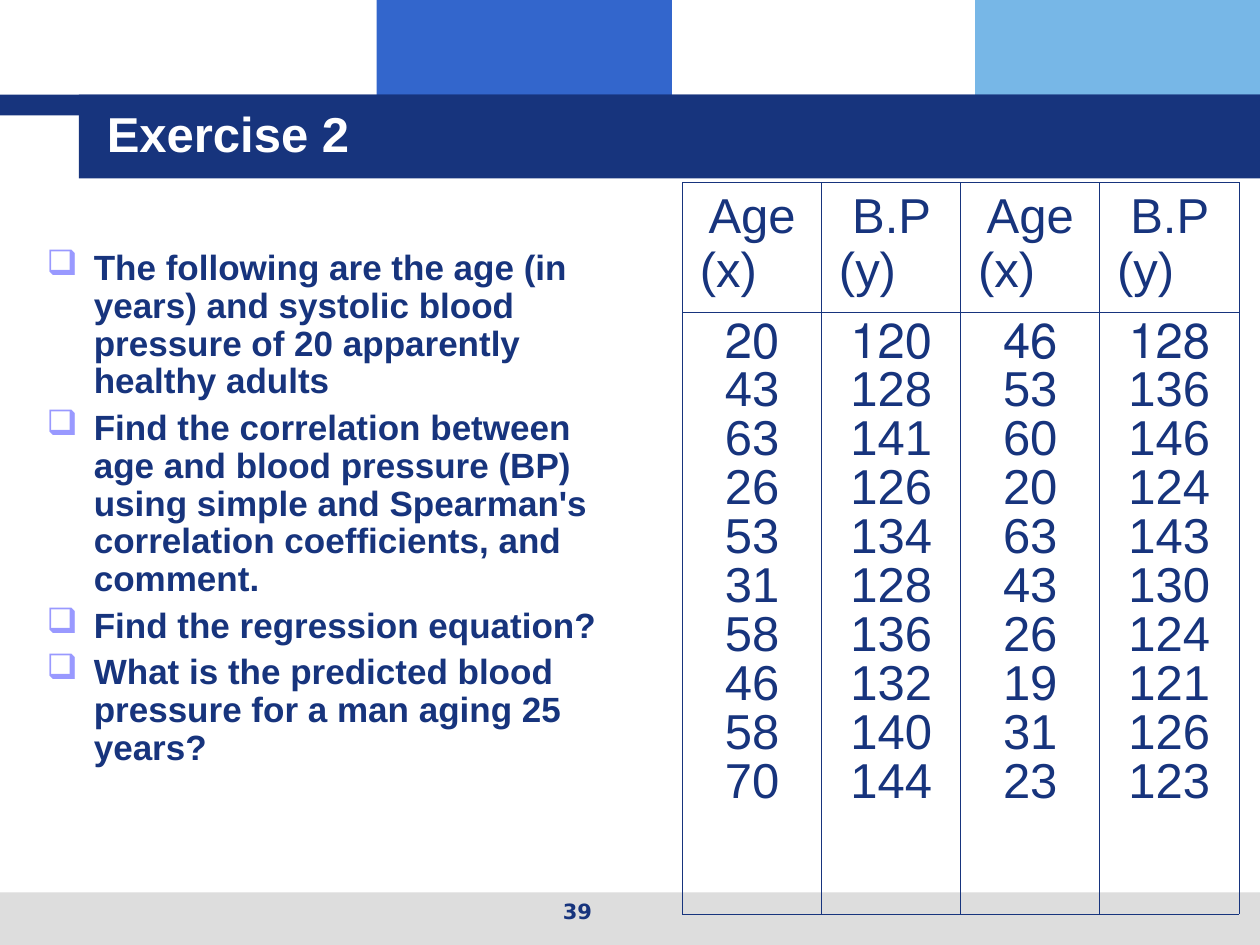
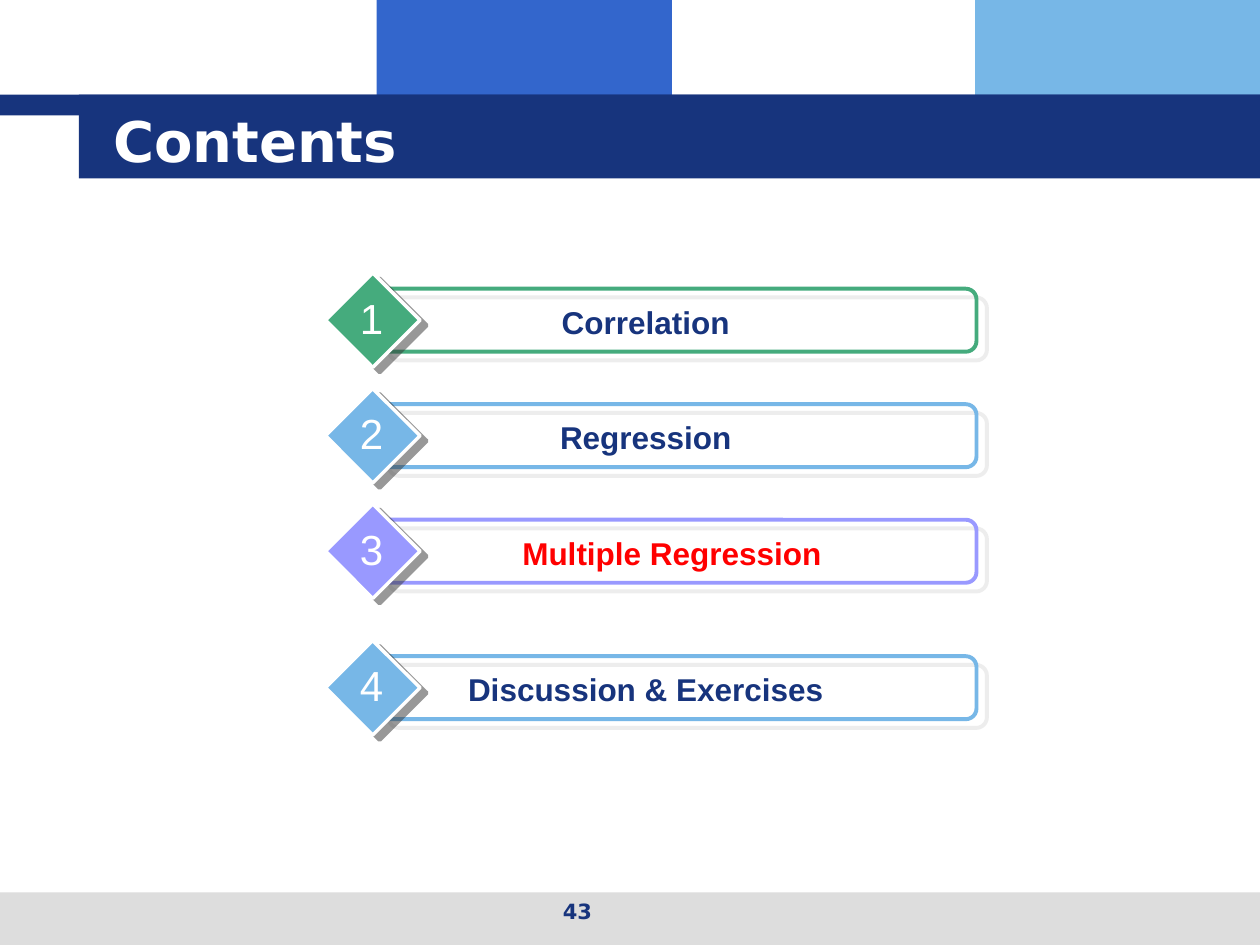
from lxml import etree
from pptx import Presentation
from pptx import util as u
from pptx.dml.color import RGBColor
from pptx.enum import shapes, text
from pptx.oxml import ns

COLORS = {
    "navy": "17347D", "blue": "3366CC", "sky": "77B7E7", "grey": "DDDDDD",
    "white": "FFFFFF", "violet": "9999FF", "green": "45AB7D", "red": "FF0000",
    "dark": "333333",
}
SLIDE_WIDTH, SLIDE_HEIGHT = 720, 540
HANG = 27
SANS, DISPLAY = "Arial", "DejaVu Sans"
CENTER, LEFT = text.PP_ALIGN.CENTER, text.PP_ALIGN.LEFT
SHAPE = shapes.MSO_SHAPE

TASKS = [
    "The following are the age (in years) and systolic blood pressure of 20 "
    "apparently healthy adults",
    "Find the correlation between age and blood pressure (BP) using simple and "
    "Spearman's correlation coefficients, and comment.",
    "Find the regression equation?",
    "What is the predicted blood pressure for a man aging 25 years?",
]
READINGS = [
    ("Age (x)", [20, 43, 63, 26, 53, 31, 58, 46, 58, 70]),
    ("B.P (y)", [120, 128, 141, 126, 134, 128, 136, 132, 140, 144]),
    ("Age (x)", [46, 53, 60, 20, 63, 43, 26, 19, 31, 23]),
    ("B.P (y)", [128, 136, 146, 124, 143, 130, 124, 121, 126, 123]),
]
TOPICS = [
    ("Correlation", "green", "navy", 156, 270),
    ("Regression", "sky", "navy", 222, 270),
    ("Multiple Regression", "violet", "red", 288, 300),
    ("Discussion & Exercises", "sky", "navy", 366, 270),
]


def rgb(name):
    return RGBColor.from_string(COLORS[name])


def points(box):
    return [u.Pt(length) for length in box]


def add_xml(parent, tag, **attributes):
    return etree.SubElement(parent, ns.qn(tag), attributes)


def add_color(parent, name):
    fill = add_xml(parent, "a:solidFill")
    return add_xml(fill, "a:srgbClr", val=COLORS[name])


def write(frame, lines, size=18, color="navy", font=SANS, bold=False,
          align=LEFT, spacing=None, before=0, hang=0, bullet=None, rtl=False):
    for index, line in enumerate(lines):
        para = frame.paragraphs[0] if index == 0 else frame.add_paragraph()
        para.alignment = align
        para.space_before = u.Pt(before)
        if spacing:
            para.line_spacing = spacing
        properties = para._p.get_or_add_pPr()
        if hang:
            properties.set("marL", str(u.Pt(hang)))
            properties.set("indent", str(u.Pt(-hang)))
        if rtl and index == 0:
            properties.set("rtl", "1")
        if bullet:
            tint = add_xml(properties, "a:buClr")
            add_xml(tint, "a:srgbClr", val=COLORS["violet"])
            add_xml(properties, "a:buChar", char=bullet)
        span = para.add_run()
        span.text = str(line)
        span.font.size = u.Pt(size)
        span.font.name = font
        span.font.bold = bold
        span.font.color.rgb = rgb(color)


def add_label(page, box, lines, anchor=text.MSO_ANCHOR.TOP, wrap=True, **style):
    frame = page.shapes.add_textbox(*points(box)).text_frame
    frame.word_wrap = wrap
    frame.vertical_anchor = anchor
    write(frame, lines, **style)


def add_figure(page, kind, box, fill=None, line=None, weight=1):
    figure = page.shapes.add_shape(kind, *points(box))
    figure.shadow.inherit = False
    if fill:
        figure.fill.solid()
        figure.fill.fore_color.rgb = rgb(fill)
    else:
        figure.fill.background()
    if line:
        figure.line.color.rgb = rgb(line)
        figure.line.width = u.Pt(weight)
    else:
        figure.line.fill.background()
    return figure


def cast_shadow(figure, color, distance, angle):
    effects = figure._element.spPr.find(ns.qn("a:effectLst"))
    shadow = add_xml(effects, "a:outerShdw", blurRad="0",
                     dist=str(u.Pt(distance)), dir=str(angle * 60000),
                     algn="ctr", rotWithShape="0")
    tint = add_xml(shadow, "a:srgbClr", val=COLORS[color])
    add_xml(tint, "a:alpha", val="50000")


def add_frame(page, number):
    bands = [
        ((215.25, 0, 168.75, 66), "blue"),
        ((557.25, 0, 162.75, 66), "sky"),
        ((0, 510, SLIDE_WIDTH, 30), "grey"),
        ((0, 54, SLIDE_WIDTH, 12), "navy"),
        ((45, 54, SLIDE_WIDTH - 45, 48), "navy"),
    ]
    for box, color in bands:
        add_figure(page, SHAPE.RECTANGLE, box, color)
    add_label(page, (246, 510, 168, 25), [number], size=12, font=DISPLAY,
              bold=True, align=CENTER)


def add_title(page, box, title, **style):
    add_label(page, box, [title], anchor=text.MSO_ANCHOR.MIDDLE,
              color="white", bold=True, **style)


def style_cell(cell):
    properties = cell._tc.get_or_add_tcPr()
    for side in ("a:lnL", "a:lnR", "a:lnT", "a:lnB"):
        border = add_xml(properties, side, w=str(u.Pt(0.45)))
        add_color(border, "navy")
    cell.fill.background()


def add_readings(page, box, header_height):
    left, top, width, height = box
    table = page.shapes.add_table(2, len(READINGS), *points(box)).table
    table.first_row = table.horz_banding = False
    table.rows[0].height = u.Pt(header_height)
    table.rows[1].height = u.Pt(height - header_height)
    for column, (heading, values) in enumerate(READINGS):
        table.columns[column].width = u.Pt(width / len(READINGS))
        for row, (lines, spacing) in enumerate([([heading], None),
                                                (values, u.Pt(28))]):
            cell = table.cell(row, column)
            style_cell(cell)
            write(cell.text_frame, lines, size=28, align=CENTER, hang=HANG,
                  spacing=spacing, rtl=True)


def add_topic(page, box, number, topic, accent, color, label_width):
    left, top, width, height = box
    bar = add_figure(page, SHAPE.ROUNDED_RECTANGLE,
                     (left + 30, top + 9, width - 30, 36), line=accent, weight=2.25)
    bar.adjustments[0] = 0.17
    cast_shadow(bar, "grey", 7.8, 40)
    diamond = add_figure(page, SHAPE.DIAMOND, (left, top, height, height),
                         accent, "white", 2)
    cast_shadow(diamond, "dark", 5, 37)
    add_label(page, (left + 48, top + 13.5, label_width, 29), [topic],
              bold=True, color=color, align=CENTER)
    add_label(page, (left + 12.5, top + 7.5, 27, 36), [number], wrap=False,
              size=24, color="white", align=CENTER)


def build_exercise(page):
    add_frame(page, 39)
    add_title(page, (54, 54, 648, 44), "Exercise 2", size=28)
    add_label(page, (19.5, 139.5, 351, 343), TASKS, size=20, bold=True,
              spacing=0.9, before=5, hang=HANG, bullet="❑")
    add_readings(page, (390, 104.25, 318, 418), 74.5)


def build_contents(page):
    add_frame(page, 43)
    add_title(page, (57.5, 57.5, 614, 45), "Contents", size=32, font=DISPLAY)
    for number, (topic, accent, color, top, label_width) in enumerate(TOPICS, 1):
        add_topic(page, (186, top, 372, 54), number, topic, accent, color,
                  label_width)


def main():
    deck = Presentation()
    deck.slide_width, deck.slide_height = points((SLIDE_WIDTH, SLIDE_HEIGHT))
    for build in (build_exercise, build_contents):
        build(deck.slides.add_slide(deck.slide_layouts[6]))
    deck.save("out.pptx")


if __name__ == "__main__":
    main()
